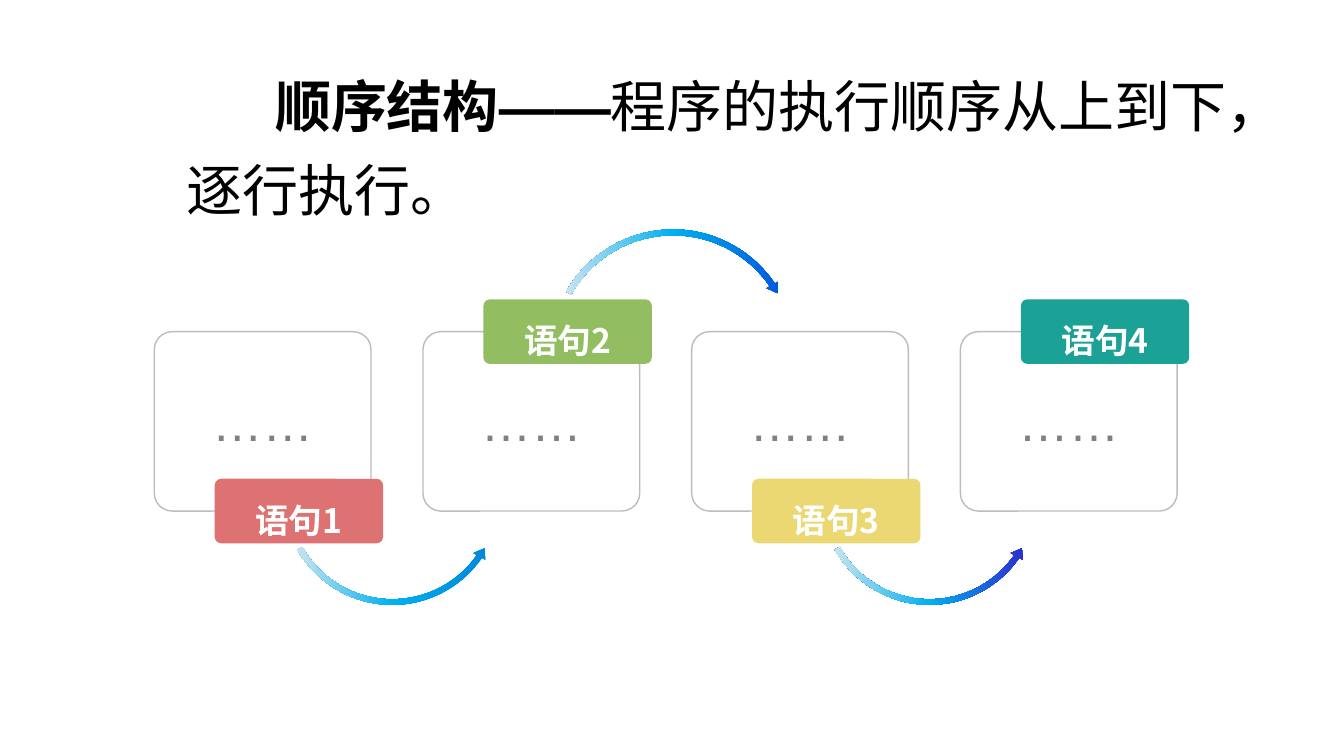
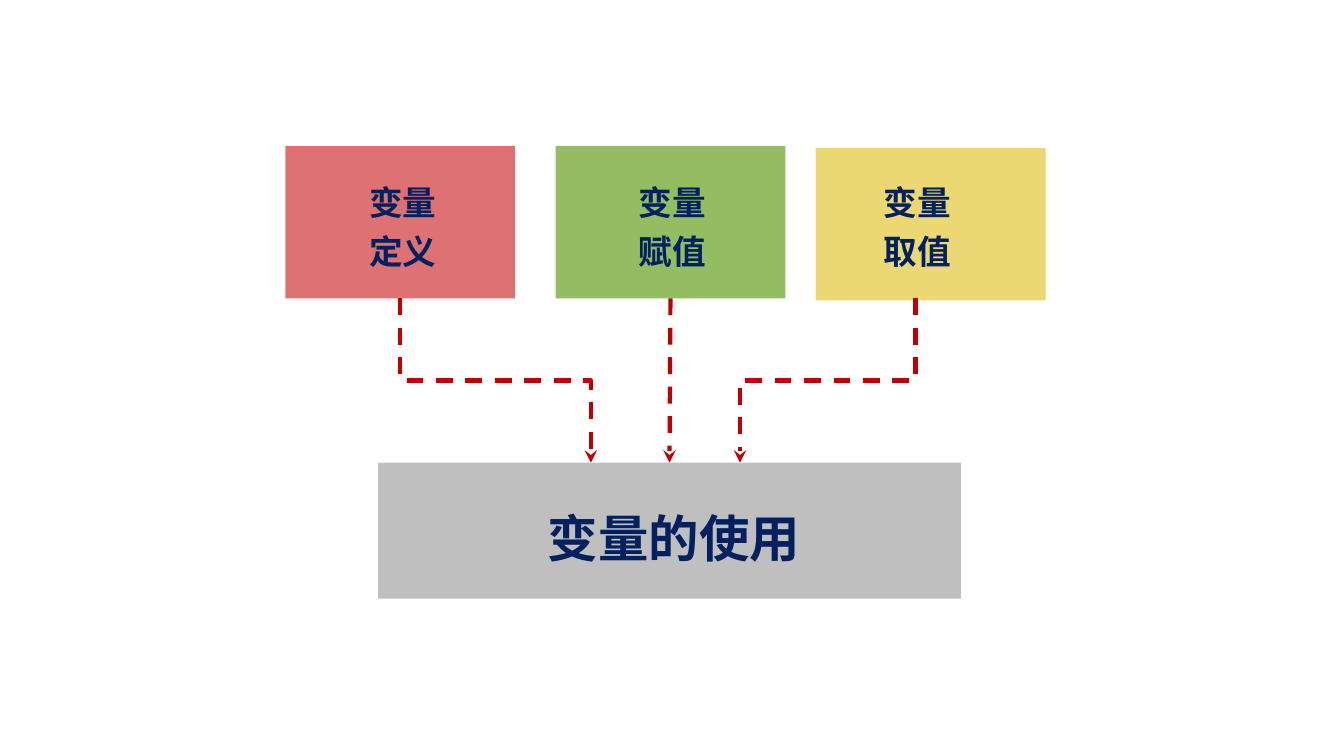
from copy import deepcopy

from lxml import etree
from pptx import Presentation
from pptx.dml.color import RGBColor
from pptx.enum.dml import MSO_LINE
from pptx.enum.shapes import MSO_CONNECTOR, MSO_SHAPE
from pptx.enum.text import MSO_ANCHOR, PP_ALIGN
from pptx.oxml.ns import qn
from pptx.util import Inches, Pt

ELBOW, STRAIGHT = MSO_CONNECTOR.ELBOW, MSO_CONNECTOR.STRAIGHT
RECTANGLE, ROUNDED = MSO_SHAPE.RECTANGLE, MSO_SHAPE.ROUNDED_RECTANGLE
OVER, UNDER = MSO_SHAPE.CIRCULAR_ARROW, MSO_SHAPE.LEFT_CIRCULAR_ARROW
LEFT, CENTER = PP_ALIGN.LEFT, PP_ALIGN.CENTER
TOP, MIDDLE = MSO_ANCHOR.TOP, MSO_ANCHOR.MIDDLE

RED = RGBColor(0xDE, 0x72, 0x72)
GREEN = RGBColor(0x92, 0xBD, 0x61)
YELLOW = RGBColor(0xEC, 0xD8, 0x73)
TEAL = RGBColor(0x1C, 0xA1, 0x96)
WHITE = RGBColor(0xFF, 0xFF, 0xFF)
BLACK = RGBColor(0, 0, 0)
NAVY = RGBColor(0x00, 0x20, 0x60)
DOT_GRAY = RGBColor(0x80, 0x80, 0x80)
EDGE_GRAY = RGBColor(0xBC, 0xBC, 0xBC)
BAR_GRAY = RGBColor(0xBF, 0xBF, 0xBF)
LINK_RED = RGBColor(0xC0, 0x00, 0x00)
SKY = RGBColor(0x00, 0xB0, 0xF0)
PALE = RGBColor(0xEE, 0xEE, 0xEE)

LATIN, CHINESE = "Arial", "Noto Sans CJK SC"
TITLE_FONT = {"name": LATIN, "size": Pt(40), "color": BLACK}
DOTS_FONT = {"name": LATIN, "size": Pt(36), "color": DOT_GRAY}
LABEL_FONT = {"name": CHINESE, "size": Pt(24), "color": WHITE, "bold": True}
STEP_FONT = {**LABEL_FONT, "color": NAVY}
USE_FONT = {**STEP_FONT, "size": Pt(36)}

# Slide 1
TITLE = [("顺序结构——", True), ("程序的执行顺序从上到下，逐行执行。", False)]
STATEMENTS = [("语句1", RED), ("语句2", GREEN), ("语句3", YELLOW), ("语句4", TEAL)]
CARD_LEFT, CARD_TOP, CARD_PITCH = 1.53, 3.29, 2.665
CARD_SIZE, LABEL_SIZE = (2.15, 1.78), (1.67, 0.64)
LABEL_SHIFT, LABEL_TOPS = 0.6, (4.75, 2.97)
UNDER_BEND = (0.025, 3.094, 20.849, 90.245, 0.03)
OVER_BEND = (0.023, 2.738, 195.507, 125.755, 0.026)
ARROWS = [  # preset, left, top, side, bend, colour at the head
    (UNDER, 8.1, 3.8, 2.24, UNDER_BEND, RGBColor(0x33, 0x15, 0xC9)),
    (UNDER, 2.77, 3.8, 2.24, UNDER_BEND, RGBColor(0x00, 0x7F, 0xD9)),
    (OVER, 5.42, 2.24, 2.51, OVER_BEND, RGBColor(0x00, 0x49, 0xDA)),
]

# Slide 2: text, fill, box left, box top, text left
STEPS = [
    ("变量定义", RED, 2.83, 1.45, 3.47),
    ("变量赋值", GREEN, 5.51, 1.45, 6.14),
    ("变量取值", YELLOW, 8.09, 1.47, 8.57),
]
STEP_SIZE = (2.28, 1.51)
USE_TEXT, USE_BOX = "变量的使用", (3.75, 4.59, 5.78, 1.35)
BENT_LINKS = [((3.97, 2.96), (5.86, 4.59)), ((9.08, 2.96), (7.34, 4.59))]


def inches(values):
    return [Inches(value) for value in values]


def write(shape, runs, font, align=CENTER, spacing=1.0, indent=0, anchor=TOP):
    """Fill a shape with one paragraph; runs is a list of (text, bold)."""
    frame = shape.text_frame
    frame.word_wrap, frame.vertical_anchor = True, anchor
    para = frame.paragraphs[0]
    para.alignment, para.line_spacing = align, spacing
    if indent:
        para._p.get_or_add_pPr().set("indent", str(Inches(indent)))
    for text, bold in runs:
        span = para.add_run()
        span.text = text
        for name, value in {**font, "bold": bold}.items():
            if name == "color":
                span.font.color.rgb = value
            else:
                setattr(span.font, name, value)
        east_asian = etree.SubElement(span._r.get_or_add_rPr(), qn("a:ea"))
        east_asian.set("typeface", font["name"])


def add_text(slide, place, runs, font, **layout):
    write(slide.shapes.add_textbox(*inches(place)), runs, font, **layout)


def add_box(slide, preset, place, fill=None, edge=None):
    box = slide.shapes.add_shape(preset, *inches(place))
    box.shadow.inherit = False
    if fill is None:
        box.fill.background()
    else:
        box.fill.solid()
        box.fill.fore_color.rgb = fill
    if edge is None:
        box.line.fill.background()
    else:
        box.line.color.rgb, box.line.width = edge, Pt(1)
    if preset == ROUNDED:
        box.adjustments[0] = 0.1
    return box


def set_margins(box, top=0):
    frame = box.text_frame
    frame.margin_left = frame.margin_right = frame.margin_bottom = 0
    frame.margin_top = Inches(top)


def add_curved_arrow(slide, preset, left, top, side, bend, head):
    arrow = add_box(slide, preset, (left, top, side, side))
    for index, value in enumerate(bend):
        arrow.adjustments[index] = value
    arrow.fill.gradient()
    arrow.fill.gradient_angle = 180
    stops = arrow._element.spPr.find(".//" + qn("a:gsLst"))
    stops.append(deepcopy(stops[0]))
    for stop, color, position in zip(
            arrow.fill.gradient_stops, (head, SKY, PALE), (0, 0.5, 1)):
        stop.color.rgb, stop.position = color, position


def add_link(slide, kind, begin, end):
    link = slide.shapes.add_connector(kind, *inches((*begin, *end)))
    link.line.color.rgb, link.line.width = LINK_RED, Pt(3)
    link.line.dash_style = MSO_LINE.DASH
    etree.SubElement(link.line._get_or_add_ln(), qn("a:tailEnd")).set("type", "stealth")
    etree.SubElement(link._element.spPr, qn("a:effectLst"))
    return link


def add_down_elbow(slide, begin, end):
    """Elbow that leaves and arrives vertically: a turned horizontal one."""
    (x1, y1), (x2, y2) = begin, end
    width, height = y2 - y1, abs(x2 - x1)
    left, top = (x1 + x2 - width) / 2, (y1 + y2 - height) / 2
    link = add_link(slide, ELBOW, (left, top), (left + width, top + height))
    frame = link._element.spPr.find(qn("a:xfrm"))
    to_right = x2 > x1
    frame.set("rot", str((270 if to_right else 90) * 60000))
    if to_right:
        frame.set("flipH", "1")


def build_sequence(slide):
    for arrow in ARROWS:
        add_curved_arrow(slide, *arrow)
    for index, (text, color) in enumerate(STATEMENTS):
        left = CARD_LEFT + index * CARD_PITCH
        card = add_box(slide, ROUNDED, (left, CARD_TOP, *CARD_SIZE), edge=EDGE_GRAY)
        set_margins(card)
        write(card, [("……", False)], DOTS_FONT, anchor=MIDDLE)
        place = (left + LABEL_SHIFT, LABEL_TOPS[index % 2], *LABEL_SIZE)
        label = add_box(slide, ROUNDED, place, color)
        set_margins(label, top=0.09)
        write(label, [(text, True)], LABEL_FONT, spacing=1.2, anchor=MIDDLE)
    add_text(slide, (1.75, 0.49, 11.05, 1.95), TITLE, TITLE_FONT,
             align=LEFT, spacing=1.25, indent=0.88)


def build_variables(slide):
    boxes = [add_box(slide, RECTANGLE, (left, top, *STEP_SIZE), color)
             for _, color, left, top, _ in STEPS]
    for begin, end in BENT_LINKS:
        add_down_elbow(slide, begin, end)
    use_box = add_box(slide, RECTANGLE, USE_BOX, BAR_GRAY)
    link = add_link(slide, STRAIGHT, (6.65, 2.96), (6.64, 4.59))
    link.begin_connect(boxes[1], 2)
    link.end_connect(use_box, 0)
    add_text(slide, (5.1, 4.86, 3.17, 0.77), [(USE_TEXT, True)], USE_FONT, spacing=1.2)
    for text, _, _, _, left in STEPS:
        add_text(slide, (left, 1.68, 1.05, 1.03), [(text, True)], STEP_FONT, spacing=1.2)


def main():
    deck = Presentation()
    deck.slide_width, deck.slide_height = inches((13.33, 7.5))
    for build in (build_sequence, build_variables):
        build(deck.slides.add_slide(deck.slide_layouts[6]))
    deck.save("out.pptx")


if __name__ == "__main__":
    main()
